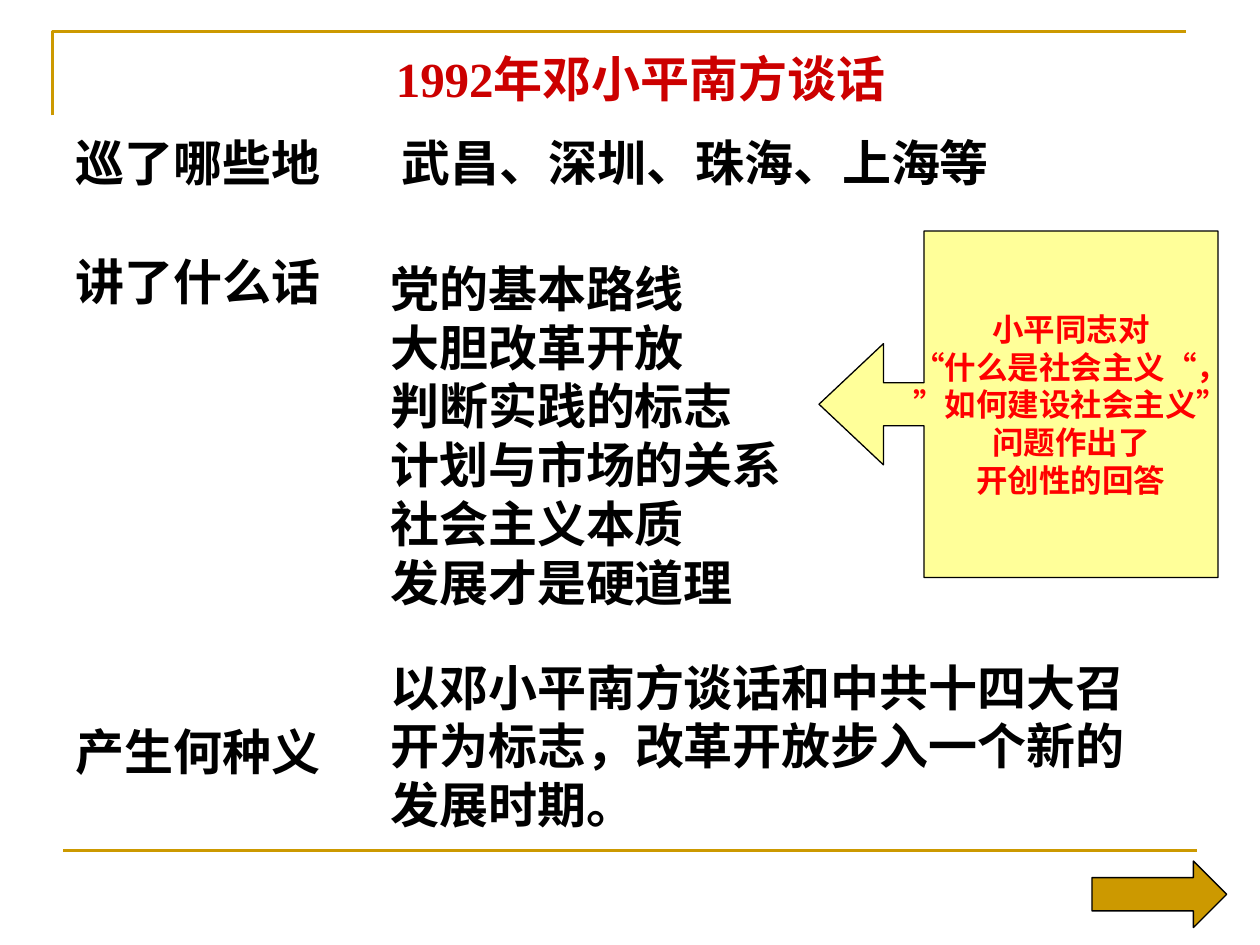
import pptx
import pptx.util
import pptx.dml.color
import pptx.enum.shapes
import pptx.enum.text
import lxml.etree

Pt = pptx.util.Pt
Kind = pptx.enum.shapes.MSO_SHAPE
Anchor = pptx.enum.text.MSO_ANCHOR
Align = pptx.enum.text.PP_ALIGN

HEX = {"gold": "CC9900", "title": "CC0000", "text": "000000",
       "note": "FF0000", "cream": "FFFF99"}


def color(name):
    return pptx.dml.color.RGBColor.from_string(HEX[name])


def write(shape, lines, size=28, font="Arial", ink="text", align=Align.LEFT,
          anchor=Anchor.TOP, wrap=False, gaps=()):
    """Fill a shape with one paragraph per line; gaps are the spaces before."""
    frame = shape.text_frame
    frame.word_wrap = wrap
    frame.vertical_anchor = anchor
    frame.margin_left = frame.margin_right = Pt(7.2)
    frame.margin_top = frame.margin_bottom = Pt(3.6)
    frame.text = "\n".join(lines)
    for para in frame.paragraphs:
        para.alignment = align
        para.font.size = Pt(size)
        para.font.name = font
        para.font.bold = True
        para.font.color.rgb = color(ink)
    for para, gap in zip(frame.paragraphs, gaps):
        para.space_before = Pt(gap)


deck = pptx.Presentation()
deck.slide_width, deck.slide_height = Pt(720), Pt(540)
slide = deck.slides.add_slide(deck.slide_layouts[5])
shapes = slide.shapes

# Title
title = shapes.title
title.left, title.top, title.width, title.height = Pt(18), Pt(24), Pt(696), Pt(54)
write(title, ["1992年邓小平南方谈话"], font="Times New Roman", ink="title",
      align=Align.CENTER, wrap=True)

# Gold corner and bottom rule
pen = shapes.build_freeform(Pt(30), Pt(66), scale=1.0)
pen.add_line_segments([(Pt(30), Pt(18)), (Pt(678), Pt(18))], close=False)
corner = pen.convert_to_shape()
corner.fill.background()
corner.shadow.inherit = False
rule = shapes.add_connector(pptx.enum.shapes.MSO_CONNECTOR.STRAIGHT,
                            Pt(36), Pt(486), Pt(684), Pt(486))
lxml.etree.SubElement(rule._element.spPr, pptx.oxml.ns.qn("a:effectLst"))
for edge in (corner, rule):
    edge.line.color.rgb = color("gold")
    edge.line.width = Pt(1.5)

# Questions on the left, answers on the right
texts = [
    ((36, 72, 154, 377), ["巡了哪些地", "讲了什么话", "产生何种义"],
     {"gaps": (0, 34.5, 235)}),
    ((222.5, 72, 350, 41), ["武昌、深圳、珠海、上海等"], {}),
    ((216, 144, 238, 209),
     ["党的基本路线", "大胆改革开放", "判断实践的标志",
      "计划与市场的关系", "社会主义本质", "发展才是硬道理"], {}),
    ((216, 372, 450, 108),
     ["以邓小平南方谈话和中共十四大召开为标志，改革开放步入一个新的发展时期。"],
     {"wrap": True}),
]
for box, lines, form in texts:
    write(shapes.add_textbox(*map(Pt, box)), lines, **form)

# Callout and forward arrow
blocks = []
for kind, box, fill, adjust in [
    (Kind.LEFT_ARROW_CALLOUT, (468, 132, 228, 198), "cream",
     (0.124, 0.175, 0.186, 0.737)),
    (Kind.RIGHT_ARROW, (624, 492, 77, 38), "gold", (0.5, 0.5)),
]:
    block = shapes.add_shape(kind, *map(Pt, box))
    for i, value in enumerate(adjust):
        block.adjustments[i] = value
    block.shadow.inherit = False
    block.fill.solid()
    block.fill.fore_color.rgb = color(fill)
    block.line.color.rgb = color("text")
    block.line.width = Pt(0.75)
    blocks.append(block)

write(blocks[0],
      ["小平同志对", "“什么是社会主义“，", "”如何建设社会主义”",
       "问题作出了", "开创性的回答"],
      size=18, ink="note", align=Align.CENTER, anchor=Anchor.MIDDLE)

deck.save("out.pptx")
